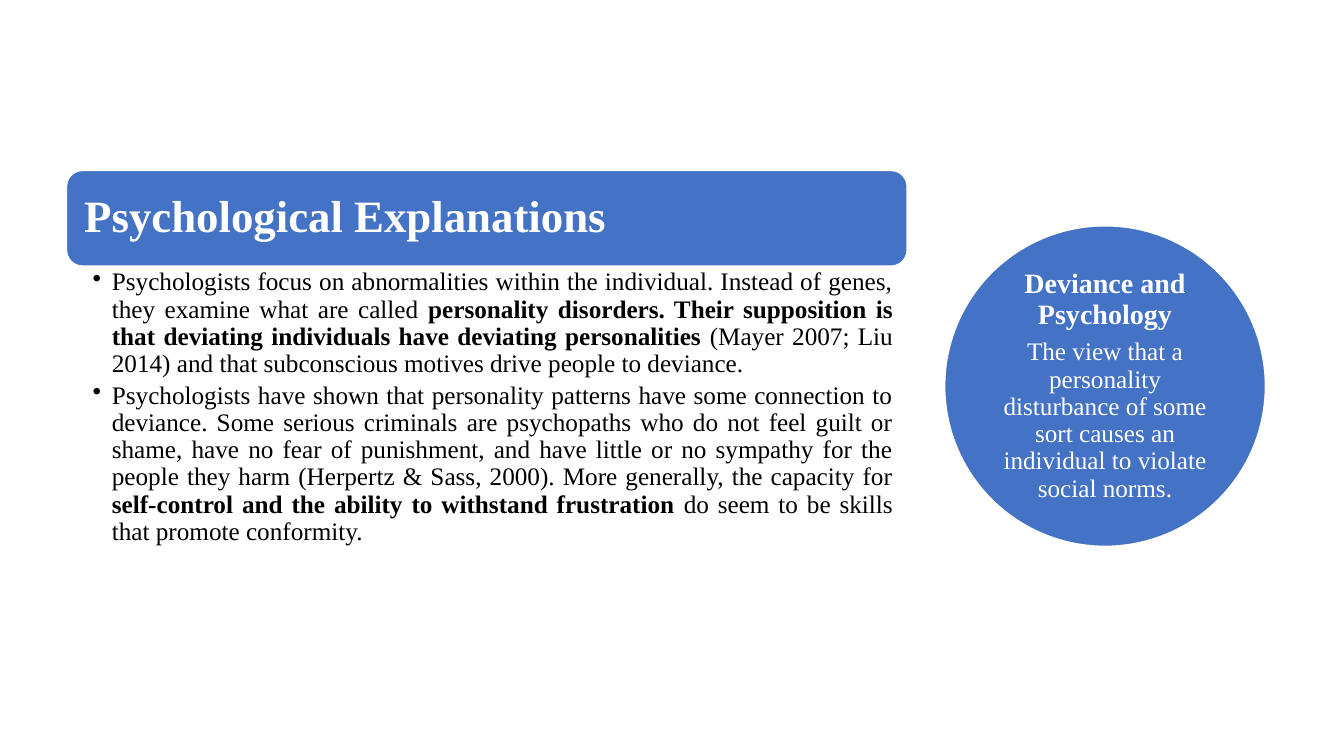
from lxml import etree
from pptx import Presentation
from pptx import util as u
from pptx.dml.color import RGBColor
from pptx.enum import shapes, text
from pptx.oxml import ns

COLORS = {"blue": "4472C4", "white": "FFFFFF", "black": "000000"}
FONT = "Times New Roman"
ALIGN = text.PP_ALIGN

TITLE = "Psychological Explanations"
POINTS = [
    "Psychologists focus on abnormalities within the individual. Instead of genes, "
    "they examine what are called **personality disorders. Their supposition is that "
    "deviating individuals have deviating personalities **(Mayer 2007; Liu 2014) and "
    "that subconscious motives drive people to deviance.",
    "Psychologists have shown that personality patterns have some connection to "
    "deviance. Some serious criminals are psychopaths who do not feel guilt or shame, "
    "have no fear of punishment, and have little or no sympathy for the people they "
    "harm (Herpertz & Sass, 2000). More generally, the capacity for **self-control and "
    "the ability to withstand frustration **do seem to be skills that promote conformity.",
]
TERM = "Deviance and Psychology"
DEFINITION = ("The view that a personality disturbance of some sort causes an "
              "individual to violate social norms.")


def color(name):
    return RGBColor.from_string(COLORS[name])


def write(p, content, size=18, ink="black", bold=False, align=ALIGN.LEFT, after=0,
          bullet=False):
    """Fill one paragraph; ** switches bold on and off."""
    p.alignment, p.line_spacing, p.space_after = align, 0.9, u.Pt(after)
    for i, part in enumerate(content.split("**")):
        r = p.add_run()
        r.text = part
        r.font.name, r.font.size = FONT, u.Pt(size)
        r.font.bold = bold != (i % 2 == 1)
        r.font.color.rgb = color(ink)
    if bullet:
        pPr = p._p.get_or_add_pPr()
        indent = u.Inches(0.19)
        pPr.set("marL", str(indent))
        pPr.set("indent", str(-indent))
        etree.SubElement(pPr, ns.qn("a:buChar")).set("char", "•")


class Slide:
    """Current slide; boxes are (left, top, width, height) in percent of its size."""

    def __init__(self, prs):
        self.size = (prs.slide_width, prs.slide_height)
        self.s = prs.slides.add_slide(prs.slide_layouts[6])

    def place(self, box):
        return [round(share / 100 * self.size[i % 2]) for i, share in enumerate(box)]

    def fill_text(self, sp, paragraphs, insets, anchor):
        tf = sp.text_frame
        tf.word_wrap, tf.vertical_anchor = True, anchor
        tf.margin_left, tf.margin_top, tf.margin_right, tf.margin_bottom = map(u.Inches, insets)
        for i, (content, style) in enumerate(paragraphs):
            write(tf.add_paragraph() if i else tf.paragraphs[0], content, **style)

    def shape(self, kind, box, paragraphs, inset):
        sp = self.s.shapes.add_shape(kind, *self.place(box))
        sp.shadow.inherit = False
        sp.fill.solid()
        sp.fill.fore_color.rgb = color("blue")
        sp.line.color.rgb = color("white")
        sp.line.width = u.Pt(1)
        self.fill_text(sp, paragraphs, [inset] * 4, text.MSO_ANCHOR.MIDDLE)

    def textbox(self, box, paragraphs, insets):
        sp = self.s.shapes.add_textbox(*self.place(box))
        self.fill_text(sp, paragraphs, insets, text.MSO_ANCHOR.TOP)


def main():
    prs = Presentation()
    prs.slide_width, prs.slide_height = u.Inches(13.33), u.Inches(7.5)
    slide = Slide(prs)
    left, top, width, banner = 4.95, 22.55, 62.55, 12.65

    # Heading banner
    heading = dict(size=32, ink="white", bold=True)
    slide.shape(shapes.MSO_SHAPE.ROUNDED_RECTANGLE, (left, top, width, banner),
                [(TITLE, heading)], inset=0.13)

    # Bulleted explanation below the banner
    point = dict(align=ALIGN.JUSTIFY, after=3.2, bullet=True)
    slide.textbox((left, top + banner, width, 36.27), [(t, point) for t in POINTS],
                  insets=(0.26, 0.03, 0.14, 0.03))

    # Definition circle
    centred = dict(ink="white", align=ALIGN.CENTER, after=6.5)
    slide.shape(shapes.MSO_SHAPE.OVAL, (70.29, 29.87, 23.86, 42.4),
                [(TERM, dict(centred, size=20, bold=True)), (DEFINITION, centred)],
                inset=0.03)

    prs.save("out.pptx")


if __name__ == "__main__":
    main()
